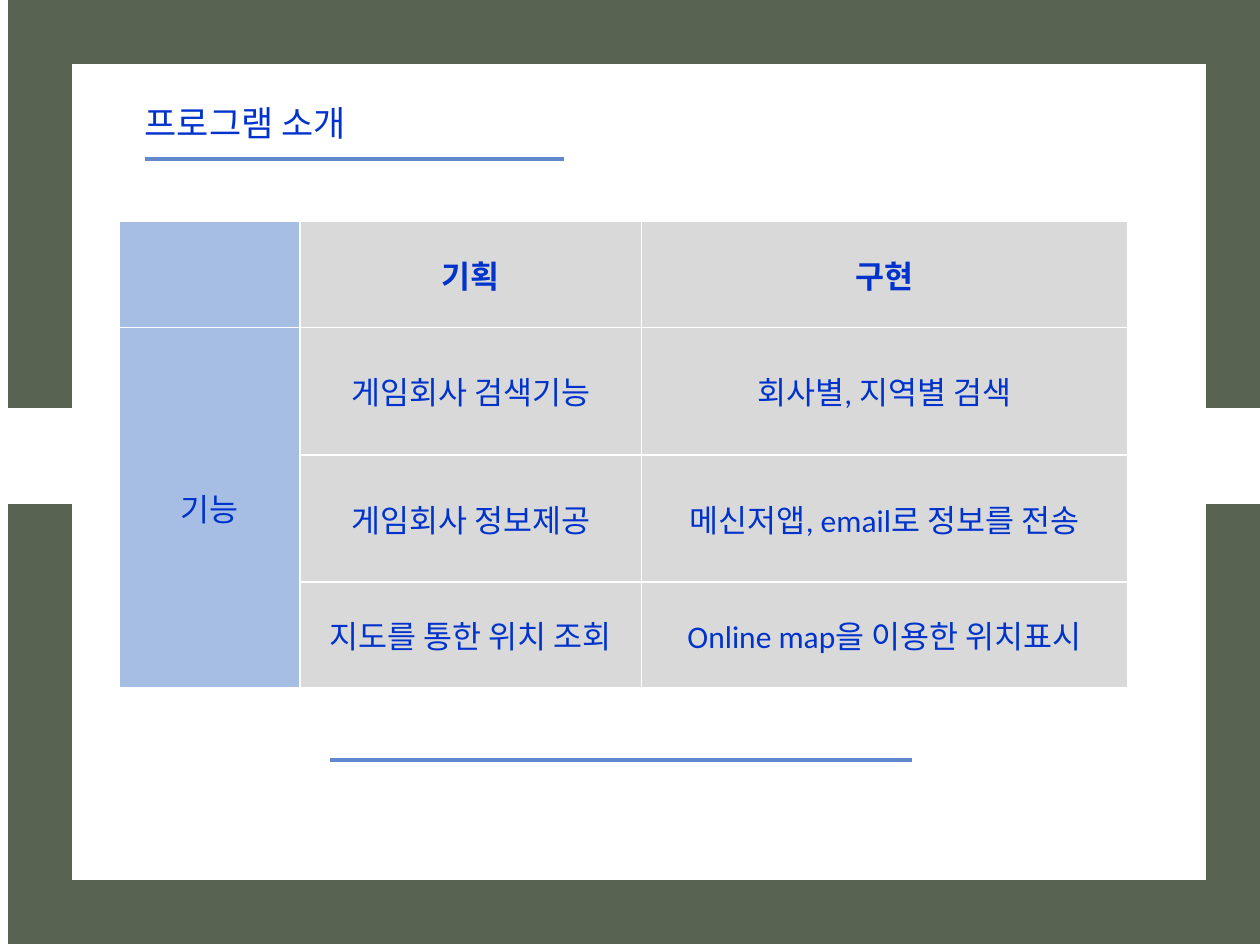
from lxml.etree import SubElement
from pptx import Presentation
from pptx.dml.color import RGBColor
from pptx.enum.shapes import MSO_CONNECTOR, MSO_SHAPE
from pptx.enum.text import MSO_ANCHOR, MSO_AUTO_SIZE, PP_ALIGN
from pptx.oxml.ns import qn
from pptx.util import Inches, Pt

WHITE = RGBColor(0xFF, 0xFF, 0xFF)
GREEN = RGBColor(0x58, 0x63, 0x51)
RULE_BLUE = RGBColor(0x61, 0x88, 0xCD)
TEXT_BLUE = RGBColor(0x00, 0x33, 0xCC)
LABEL_BLUE = RGBColor(0xA6, 0xBE, 0xE4)
GRAY = RGBColor(0xD9, 0xD9, 0xD9)
FONT = "Calibri"

TITLE = "프로그램 소개"
ROWS = [
    ("", "기획", "구현"),
    ("기능", "게임회사 검색기능", "회사별, 지역별 검색"),
    ("", "게임회사 정보제공", "메신저앱, email로 정보를 전송"),
    ("", "지도를 통한 위치 조회", "Online map을 이용한 위치표시"),
]
COL_WIDTHS = [1.43, 2.71, 3.86]
ROW_HEIGHTS = [0.84, 1.01, 1.01, 0.84]
RULES = [(2.62, 7.24, 6.03), (1.15, 4.48, 1.26)]
FRAME = (0.32, 0.25, 9.51, 6.99)
NOTCHES = [(x, 3.24, 0.6, 0.76) for x in (-0.02, 9.42)]


def add_rect(slide, box):
    sp = slide.shapes.add_shape(MSO_SHAPE.RECTANGLE, *map(Inches, box))
    sp.shadow.inherit = False
    sp.fill.solid()
    sp.fill.fore_color.rgb = WHITE
    sp.line.fill.background()
    return sp


def add_rule(slide, left, right, y):
    line = slide.shapes.add_connector(
        MSO_CONNECTOR.STRAIGHT, Inches(left), Inches(y), Inches(right), Inches(y))
    line.line.color.rgb = RULE_BLUE
    line.line.width = Pt(2)
    SubElement(line._element.spPr, qn("a:effectLst"))


def add_text(p, text, size, bold=False):
    r = p.add_run()
    r.text = text
    r.font.name = FONT
    r.font.size = Pt(size)
    r.font.bold = bold
    r.font.color.rgb = TEXT_BLUE


def add_feature_table(slide):
    size = sum(COL_WIDTHS), sum(ROW_HEIGHTS)
    table = slide.shapes.add_table(
        len(ROWS), len(COL_WIDTHS), Inches(0.95), Inches(1.76), *map(Inches, size)).table
    for col, width in zip(table.columns, COL_WIDTHS):
        col.width = Inches(width)
    for row, height in zip(table.rows, ROW_HEIGHTS):
        row.height = Inches(height)
    for i, row in enumerate(ROWS):
        for j, text in enumerate(row):
            cell = table.cell(i, j)
            cell.fill.solid()
            cell.fill.fore_color.rgb = GRAY if j else LABEL_BLUE
            cell.vertical_anchor = MSO_ANCHOR.MIDDLE
            if text:
                p = cell.text_frame.paragraphs[0]
                p.alignment = PP_ALIGN.CENTER
                add_text(p, text, 18, bold=i == 0)
    table.cell(1, 0).merge(table.cell(len(ROWS) - 1, 0))


def main():
    prs = Presentation()
    prs.slide_width, prs.slide_height = Inches(10), Inches(7.5)
    slide = prs.slides.add_slide(prs.slide_layouts[6])

    frame = add_rect(slide, FRAME)
    frame.line.color.rgb = GREEN
    frame.line.width = Pt(36.75)
    SubElement(frame.line._get_or_add_ln(), qn("a:miter"), lim="800000")

    for rule in RULES:
        add_rule(slide, *rule)

    tf = slide.shapes.add_textbox(
        Inches(1.05), Inches(0.76), Inches(3.49), Inches(0.42)).text_frame
    tf.word_wrap = True
    tf.auto_size = MSO_AUTO_SIZE.SHAPE_TO_FIT_TEXT
    add_text(tf.paragraphs[0], TITLE, 20)

    add_feature_table(slide)
    for notch in NOTCHES:
        add_rect(slide, notch)
    prs.save("out.pptx")


if __name__ == "__main__":
    main()
